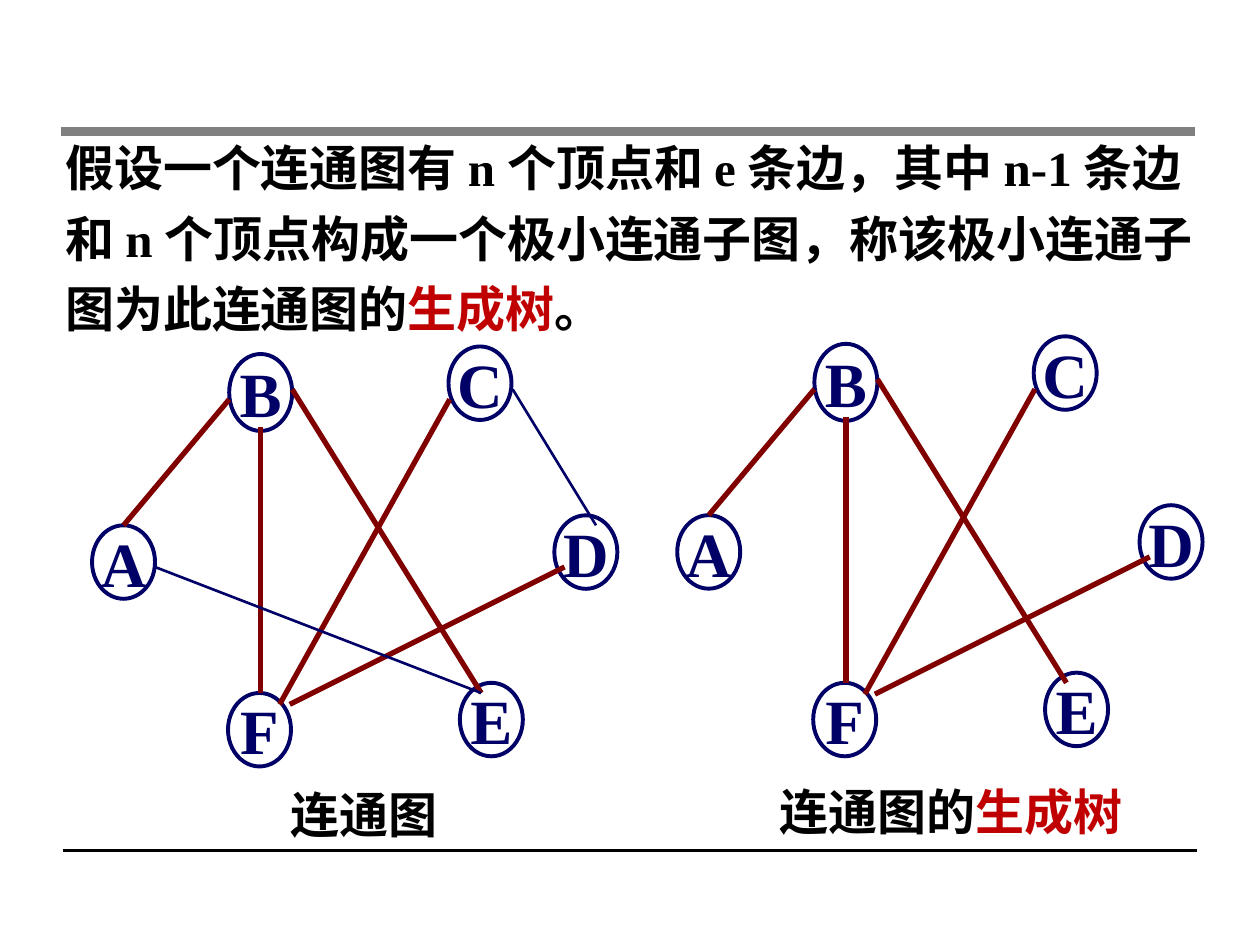
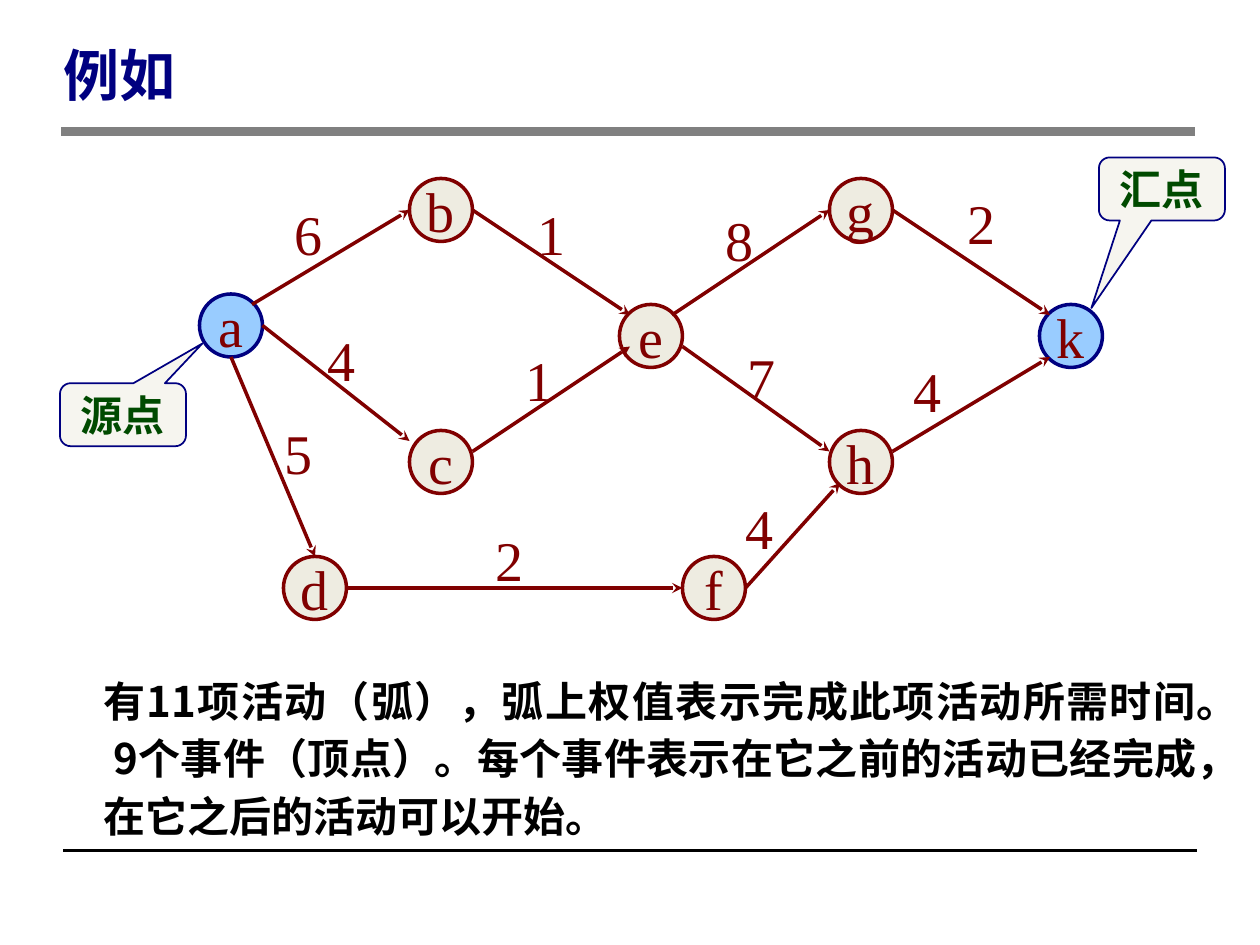
from pptx import Presentation
from pptx.dml.color import RGBColor
from pptx.enum.shapes import MSO_CONNECTOR, MSO_SHAPE
from pptx.enum.text import MSO_ANCHOR, MSO_AUTO_SIZE, PP_ALIGN
from pptx.oxml.ns import qn
from pptx.util import Pt
from lxml import etree

LEFT, CENTER, RIGHT, JUSTIFY = (PP_ALIGN.LEFT, PP_ALIGN.CENTER,
                                PP_ALIGN.RIGHT, PP_ALIGN.JUSTIFY)
MIDDLE, GROW = MSO_ANCHOR.MIDDLE, MSO_AUTO_SIZE.SHAPE_TO_FIT_TEXT
STRAIGHT = MSO_CONNECTOR.STRAIGHT
ELLIPSE, CALLOUT = MSO_SHAPE.OVAL, MSO_SHAPE.ROUNDED_RECTANGULAR_CALLOUT
TITLE_ONLY, BLANK = 5, 6

SANS, SERIF = "Noto Sans CJK SC", "Times New Roman"
COLORS = {
    "text": "000000", "rule": "808080", "term": "C00000", "vertex": "000066",
    "tree": "800000", "title": "000080", "event": "EEECE1",
    "terminal": "99CCFF", "callout": "004A00",
}

# Connected graph: vertex -> (left, top, height), all 36 wide
VERTICES = {
    "A": (52.6, 300.2, 42), "B": (131, 202.3, 44), "C": (256.3, 198, 42),
    "D": (316.8, 294.5, 42), "E": (262.8, 390.2, 42), "F": (130.3, 396, 42),
}
TREE_EDGES = [
    ((131, 228.2), (70.6, 300.2)), ((167, 222.5), (275, 396)),
    ((257, 228.2), (159.8, 402.5)), ((322.6, 324), (165.6, 402.5)),
    ((149, 244), (149, 396)),
]
OTHER_EDGES = [((88.6, 324), (275, 396)), ((293, 222.5), (340.6, 300.2))]
TREE_SHIFT = (334.4, -5.8)

# Activity network: event -> left, top of its circle
EVENT_SIZE = 36
EVENTS = {
    "a": (114, 168), "b": (234, 102), "c": (234, 246), "d": (162, 318),
    "e": (354, 174), "f": (390, 318), "g": (474, 102), "h": (474, 246),
    "k": (594, 174),
}
# Points on a circle where arrows meet it, from its left top corner
N, S, W, E = (18, 0), (18, 36), (0, 18), (36, 18)
NW, NE, SW = (6, 6), (30, 6), (6, 30)
W_HIGH, W_MID, E_HIGH, E_LOW, SW_IN = (0, 6), (0, 12), (36, 12), (36, 24), (6, 24)
# Start, its point, end, its point, duration, left and top of the label
ACTIVITIES = [
    ("a", NE, "b", W, "6", 161.3, 110.2),
    ("a", E, "c", W_HIGH, "4", 180, 182.2),
    ("c", E_HIGH, "e", SW_IN, "1", 293, 193.7),
    ("b", E, "e", NW, "1", 300.2, 110.2),
    ("e", NE, "g", W, "8", 407.5, 113.8),
    ("g", E, "k", NW, "2", 545.8, 104.4),
    ("h", E_HIGH, "k", SW, "4", 514.8, 200.2),
    ("e", E_LOW, "h", W_MID, "7", 419.8, 192.2),
    ("a", S, "d", N, "5", 155.5, 235.4),
    ("d", E, "f", W, "2", 275.8, 296.6),
    ("f", E, "h", SW, "4", 419, 278.6),
]


def rgb(color):
    return RGBColor.from_string(COLORS[color])


def write_runs(paragraph, pieces, size, bold):
    """Write (text, font, colour) pieces as the runs of a paragraph."""
    for text, font, color in pieces:
        run = paragraph.add_run()
        run.text = text
        run.font.name, run.font.size, run.font.bold = font, Pt(size), bold
        run.font.color.rgb = rgb(color)
        east_asian = etree.SubElement(run.font._element, qn("a:ea"))
        east_asian.set("typeface", SANS)


def add_text(slide, box, pieces, size, bold=True, align=LEFT, wrap=False,
             spacing=None):
    frame = slide.shapes.add_textbox(*map(Pt, box)).text_frame
    frame.word_wrap = wrap
    frame.auto_size = GROW
    paragraph = frame.paragraphs[0]
    paragraph.alignment = align
    paragraph.line_spacing = spacing
    write_runs(paragraph, pieces, size, bold)


def add_labelled_shape(slide, preset, box, piece, size, bold, outline, width,
                       fill=None):
    shape = slide.shapes.add_shape(preset, *map(Pt, box))
    shape.shadow.inherit = False
    if fill:
        shape.fill.solid()
        shape.fill.fore_color.rgb = rgb(fill)
    else:
        shape.fill.background()
    shape.line.color.rgb = rgb(outline)
    shape.line.width = Pt(width)
    frame = shape.text_frame
    frame.word_wrap = False
    frame.vertical_anchor = MIDDLE
    frame.paragraphs[0].alignment = CENTER
    write_runs(frame.paragraphs[0], [piece], size, bold)
    return shape


def add_line(slide, start, end, color, width, arrow=False):
    line = slide.shapes.add_connector(STRAIGHT, *map(Pt, (*start, *end)))
    line.line.width = Pt(width)
    line.line.color.rgb = rgb(color)
    properties = line._element.spPr
    if arrow:
        head = etree.SubElement(properties.find(qn("a:ln")), qn("a:tailEnd"))
        head.set("type", "stealth")
    etree.SubElement(properties, qn("a:effectLst"))


def add_callout(slide, box, text, tip):
    callout = add_labelled_shape(slide, CALLOUT, box, (text, SANS, "callout"),
                                 24, True, "title", 1, "event")
    for index, value in enumerate((*tip, 0.17)):
        callout.adjustments[index] = value
    fill_color = callout._element.spPr.find(qn("a:solidFill"))[0]
    etree.SubElement(fill_color, qn("a:alpha")).set("val", "50000")


def add_slide(prs, layout):
    """Start a slide with the two rules that all slides share."""
    slide = prs.slides.add_slide(prs.slide_layouts[layout])
    add_line(slide, (36, 486), (684, 486), "text", 2)
    add_line(slide, (35, 75), (683, 75), "rule", 5)
    return slide


def set_title(slide, text):
    title = slide.shapes.title
    title.left, title.top, title.width, title.height = map(
        Pt, (28.8, 20.2, 113.8, 43.2))
    title.text_frame.vertical_anchor = MIDDLE
    paragraph = title.text_frame.paragraphs[0]
    paragraph.alignment = LEFT
    paragraph.line_spacing = Pt(40)
    write_runs(paragraph, [(text, SANS, "title")], 32, True)


def add_graph(slide, edge_groups, shift=(0, 0)):
    """Draw the vertices and groups of (edges, colour, width)."""
    dx, dy = shift
    for name, (left, top, height) in VERTICES.items():
        add_labelled_shape(slide, ELLIPSE, (left + dx, top + dy, 36, height),
                           (name, SERIF, "vertex"), 36, True, "vertex", 2.25)
    for edges, color, width in edge_groups:
        for (x1, y1), (x2, y2) in edges:
            add_line(slide, (x1 + dx, y1 + dy), (x2 + dx, y2 + dy),
                     color, width)


def build_spanning_tree(prs):
    slide = add_slide(prs, BLANK)

    # Definition
    definition = [
        ("假设一个连通图有 ", SANS, "text"), ("n ", SERIF, "text"),
        ("个顶点和 ", SANS, "text"), ("e ", SERIF, "text"),
        ("条边，其中 ", SANS, "text"), ("n-1 ", SERIF, "text"),
        ("条边和 ", SANS, "text"), ("n ", SERIF, "text"),
        ("个顶点构成一个极小连通子图，称该极小连通子图为此连通图的", SANS, "text"),
        ("生成树", SANS, "term"), ("。", SANS, "text"),
    ]
    add_text(slide, (30.2, 68.4, 666, 129.6), definition, 28, wrap=True,
             spacing=1.2)

    # Graph and its spanning tree
    tree = (TREE_EDGES, "tree", 3)
    add_graph(slide, [tree, (OTHER_EDGES, "vertex", 1.5)])
    add_graph(slide, [tree], TREE_SHIFT)

    # Captions
    add_text(slide, (158.4, 445, 98.6, 41), [("连通图", SANS, "text")], 28,
             align=RIGHT)
    add_text(slide, (438.5, 442.8, 213.1, 41),
             [("连通图的", SANS, "text"), ("生成树", SANS, "term")], 28)


def build_activity_network(prs):
    slide = add_slide(prs, TITLE_ONLY)
    set_title(slide, "例如")

    # Events
    for name, corner in EVENTS.items():
        fill, outline = (("terminal", "title") if name in "ak"
                         else ("event", "tree"))
        add_labelled_shape(slide, ELLIPSE, (*corner, EVENT_SIZE, EVENT_SIZE),
                           (name, SERIF, "tree"), 32, False, outline, 2, fill)

    # Activities with their durations
    for start, exit_point, end, entry_point, duration, left, top in ACTIVITIES:
        tail = [sum(pair) for pair in zip(EVENTS[start], exit_point)]
        head = [sum(pair) for pair in zip(EVENTS[end], entry_point)]
        add_line(slide, tail, head, "tree", 2, arrow=True)
        add_text(slide, (left, top, 30.2, 45.4), [(duration, SERIF, "tree")],
                 32, bold=False, align=RIGHT)

    # Source and sink
    add_callout(slide, (34.3, 219, 72, 36), "源点", (0.63, -1.13))
    add_callout(slide, (628, 90, 72, 36), "汇点", (-0.56, 1.89))

    # Explanation
    explanation = ("有11项活动（弧），弧上权值表示完成此项活动所需时间。 "
                   "9个事件（顶点）。每个事件表示在它之前的活动已经完成，"
                   "在它之后的活动可以开始。")
    add_text(slide, (51.8, 378, 639.4, 107.3), [(explanation, SANS, "text")],
             24, align=JUSTIFY, wrap=True, spacing=Pt(33))


def main():
    prs = Presentation()
    prs.slide_width, prs.slide_height = Pt(720), Pt(540)
    build_spanning_tree(prs)
    build_activity_network(prs)
    prs.save("out.pptx")


if __name__ == "__main__":
    main()
